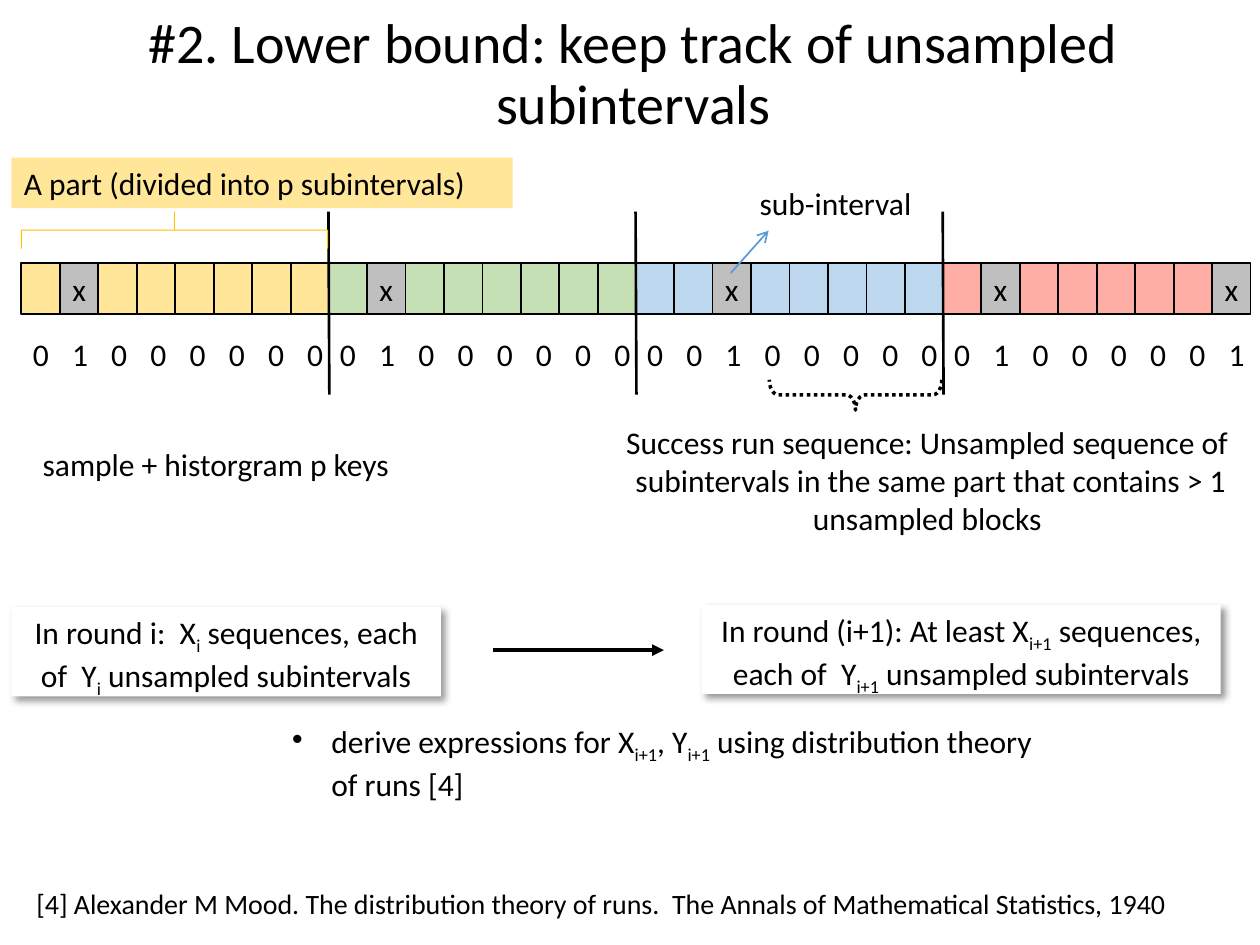
from dataclasses import dataclass

from lxml.etree import SubElement
from pptx import Presentation
from pptx.dml.color import RGBColor
from pptx.enum.dml import MSO_LINE
from pptx.enum.shapes import MSO_CONNECTOR, MSO_SHAPE
from pptx.enum.text import MSO_ANCHOR, MSO_AUTO_SIZE, PP_ALIGN
from pptx.oxml.ns import qn
from pptx.util import Pt


@dataclass(frozen=True)
class Theme:
    font: str = "Calibri"
    title_size: float = 32
    body_size: float = 18
    note_size: float = 16
    ink: str = "000000"
    paper: str = "FFFFFF"
    sampled: str = "BFBFBF"
    yellow: str = "FFE699"
    green: str = "C5E0B4"
    blue: str = "BDD7EE"
    red: str = "FFAEA6"
    gold_line: str = "FFC000"
    blue_line: str = "5B9BD5"


THEME = Theme()
# Each part: its colour and its subintervals, 1 where one is sampled
PARTS = [
    (THEME.yellow, "01000000"),
    (THEME.green, "01000000"),
    (THEME.blue, "00100000"),
    (THEME.red, "01000001"),
]
PART_PITCH = 175.5
CELL_WIDTH, CELL_HEIGHT = 22, 29
DIGIT_PITCH = 22.4


def color(value):
    return RGBColor.from_string(value)


def points(box):
    return [Pt(value) for value in box]


def write(shape, segments, size=THEME.body_size, align=PP_ALIGN.LEFT):
    """Write text in which every second segment is a subscript."""
    frame = shape.text_frame
    frame.word_wrap = True
    paragraph = frame.paragraphs[0]
    paragraph.alignment = align
    paragraph.font.name = THEME.font
    paragraph.font.size = Pt(size)
    paragraph.font.color.rgb = color(THEME.ink)
    for index, segment in enumerate(segments):
        run = paragraph.add_run()
        run.text = segment
        if index % 2:
            run.font._element.set("baseline", "-25000")
    return paragraph


def add_text(slide, box, *segments, **style):
    shape = slide.shapes.add_textbox(*points(box))
    shape.text_frame.auto_size = MSO_AUTO_SIZE.SHAPE_TO_FIT_TEXT
    return write(shape, segments, **style)


def add_shape(slide, preset, box, fill=None, line=None, width=1):
    shape = slide.shapes.add_shape(preset, *points(box))
    shape.shadow.inherit = False
    if fill:
        shape.fill.solid()
        shape.fill.fore_color.rgb = color(fill)
    else:
        shape.fill.background()
    if line:
        shape.line.color.rgb = color(line)
        shape.line.width = Pt(width)
    else:
        shape.line.fill.background()
    return shape


def add_line(slide, start, end, line=THEME.ink, width=1.5, head=None):
    connector = slide.shapes.add_connector(MSO_CONNECTOR.STRAIGHT, *points(start + end))
    connector.line.color.rgb = color(line)
    connector.line.width = Pt(width)
    if head:
        SubElement(connector.line._get_or_add_ln(), qn("a:tailEnd"), type=head)
    SubElement(connector._element.spPr, qn("a:effectLst"))


def add_brace(slide, box, rotation, curl, line, width):
    """Turn a left brace so that it spans the given wide box."""
    left, top, length, depth = box
    upright = (left + (length - depth) / 2, top - (length - depth) / 2, depth, length)
    brace = add_shape(slide, MSO_SHAPE.LEFT_BRACE, upright, line=line, width=width)
    brace.rotation = rotation
    brace.adjustments[0] = curl
    return brace


def add_title(slide, box, text):
    title = slide.shapes.title
    title.left, title.top, title.width, title.height = points(box)
    title.text_frame.vertical_anchor = MSO_ANCHOR.MIDDLE
    paragraph = write(title, [text], THEME.title_size, PP_ALIGN.CENTER)
    paragraph.line_spacing = 0.9


def add_part(slide, left, top, fill, bits):
    for index, bit in enumerate(bits):
        sampled = bit == "1"
        cell = add_shape(
            slide, MSO_SHAPE.RECTANGLE,
            (left + index * CELL_WIDTH, top, CELL_WIDTH, CELL_HEIGHT),
            THEME.sampled if sampled else fill, THEME.ink,
        )
        if sampled:
            write(cell, ["x"], align=PP_ALIGN.CENTER)
        add_text(slide, (left - 0.5 + index * DIGIT_PITCH, top + 37.5, DIGIT_PITCH, 29), bit)


def add_interval(slide, left, top):
    for index, (fill, bits) in enumerate(PARTS):
        add_part(slide, left + index * PART_PITCH, top, fill, bits)
    for index in range(1, len(PARTS)):
        divider = left + index * PART_PITCH
        add_line(slide, (divider, top - 29.5), (divider + 0.5, top + 75))


def add_interval_labels(slide, left, top):
    """Label a part, a subinterval and a success run around the interval."""
    add_brace(slide, (left, top - 29.5, PART_PITCH - 0.5, 21), 90, 0, THEME.gold_line, 0.5)
    label = add_shape(slide, MSO_SHAPE.RECTANGLE, (6.5, 90, 286.5, 29), THEME.yellow)
    write(label, ["A part (divided into p subintervals)"])
    add_line(slide, (417.6, 156), (439.2, 131.8), THEME.blue_line, 1, "arrow")
    add_text(slide, (427, 101.5, 149, 29), "sub-interval")
    run_brace = add_brace(slide, (439.6, 217, 98.6, 17.3), 270, 0.3, THEME.ink, 2)
    run_brace.line.dash_style = MSO_LINE.ROUND_DOT
    add_text(slide, (17.3, 250.5, 275.8, 29), "sample + historgram p keys")
    add_text(
        slide, (350.6, 238.3, 358.6, 72.7),
        "Success run sequence: Unsampled sequence of  subintervals "
        "in the same part that contains > 1 unsampled blocks",
        align=PP_ALIGN.CENTER,
    )


def add_round_box(slide, box, *segments):
    shape = add_shape(slide, MSO_SHAPE.RECTANGLE, box, THEME.paper)
    write(shape, segments, align=PP_ALIGN.CENTER)
    shape.text_frame.vertical_anchor = MSO_ANCHOR.TOP
    effects = shape._element.spPr.find(qn("a:effectLst"))
    shadow = SubElement(
        effects, qn("a:outerShdw"), blurRad=str(Pt(4)), dist=str(Pt(3)),
        dir="2700000", algn="tl", rotWithShape="0",
    )
    shade = SubElement(shadow, qn("a:srgbClr"), val=THEME.ink)
    SubElement(shade, qn("a:alpha"), val="40000")


def add_rounds(slide):
    add_round_box(
        slide, (6.5, 347, 245.5, 51),
        "In round i:  X", "i", " sequences, each of  Y", "i", " unsampled subintervals",
    )
    add_round_box(
        slide, (401, 345.6, 296.6, 51),
        "In round (i+1): At least X", "i+1", " sequences, each of  Y", "i+1",
        " unsampled subintervals",
    )
    add_line(slide, (281.5, 371.5), (379.4, 371.5), width=2.25, head="triangle")


def add_bullet(slide, box, *segments):
    properties = add_text(slide, box, *segments)._p.get_or_add_pPr()
    properties.set("marL", str(Pt(22.5)))
    properties.set("indent", str(Pt(-22.5)))
    bullet = SubElement(properties, qn("a:buChar"), char="•")
    properties.insert(0, bullet)


def main():
    presentation = Presentation()
    presentation.slide_width, presentation.slide_height = Pt(720), Pt(540)
    slide = presentation.slides.add_slide(presentation.slide_layouts[5])
    add_title(slide, (0, 0.7, 724, 85), "#2. Lower bound: keep track of unsampled subintervals")
    add_interval(slide, 12.2, 150.5)
    add_interval_labels(slide, 12.2, 150.5)
    add_rounds(slide)
    add_bullet(
        slide, (159.8, 409, 447, 51),
        "derive expressions for X", "i+1", ", Y", "i+1",
        " using distribution theory of runs [4]",
    )
    add_text(
        slide, (13.7, 503.3, 692.6, 26.6),
        "[4] Alexander M Mood. The distribution theory of runs.  "
        "The Annals of Mathematical Statistics, 1940",
        size=THEME.note_size,
    )
    presentation.save("out.pptx")


if __name__ == "__main__":
    main()
